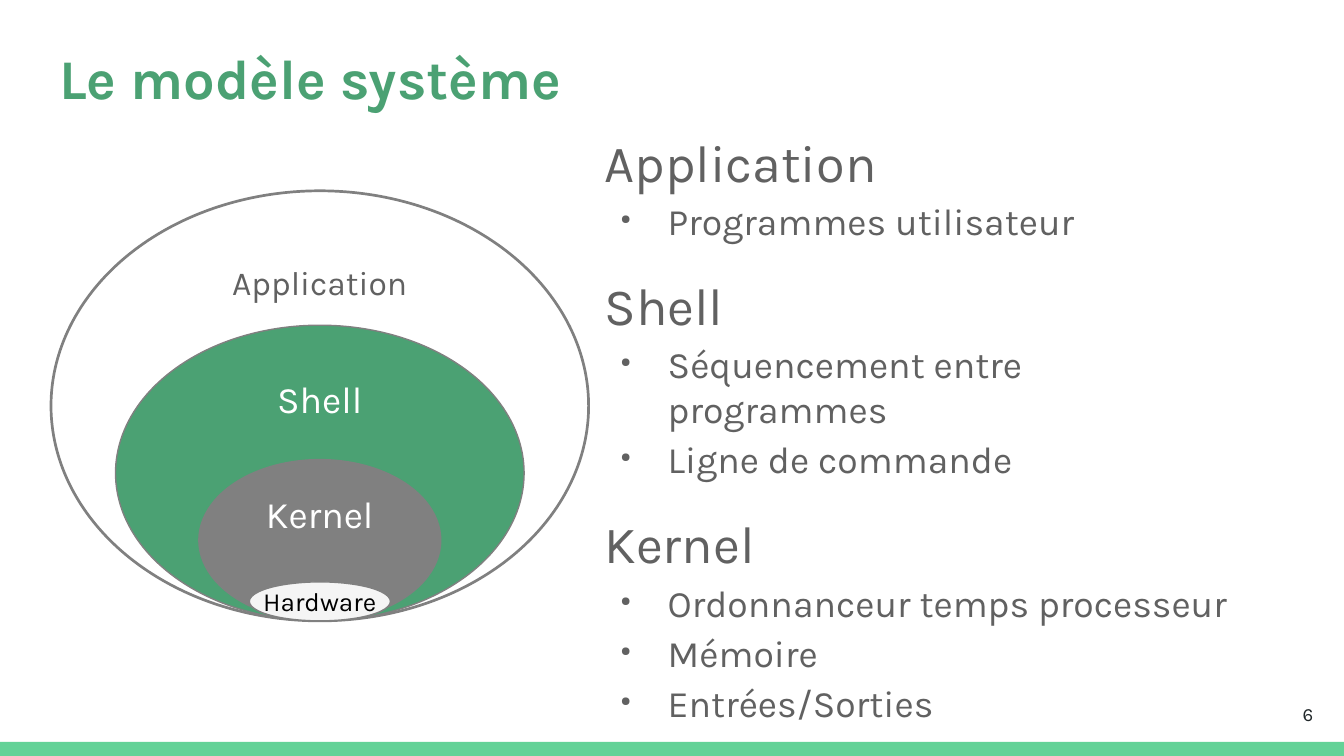
from dataclasses import dataclass

from lxml import etree
from pptx import Presentation
from pptx.dml.color import RGBColor
from pptx.enum.shapes import MSO_SHAPE
from pptx.enum.text import MSO_ANCHOR, PP_ALIGN
from pptx.oxml.ns import qn
from pptx.util import Inches, Pt

OVAL, RECTANGLE = MSO_SHAPE.OVAL, MSO_SHAPE.RECTANGLE
TOP, MIDDLE = MSO_ANCHOR.TOP, MSO_ANCHOR.MIDDLE
LEFT, CENTER, RIGHT = PP_ALIGN.LEFT, PP_ALIGN.CENTER, PP_ALIGN.RIGHT
TITLE_ONLY = 5


@dataclass(frozen=True)
class Theme:
    font: str = "Karla"
    green: str = "4BA173"
    band: str = "63D297"
    gray: str = "808080"
    text: str = "616161"
    number: str = "202729"
    pale: str = "F5F5F5"
    white: str = "FFFFFF"
    black: str = "000000"
    title_size: int = 30
    heading_size: int = 28
    item_size: int = 20
    label_size: int = 18
    small_size: int = 14
    number_size: int = 10


THEME = Theme()

# name, width, height, fill, text colour, text size, anchor, line width
LAYERS = [
    ("Application", 4, 3.2, None, THEME.text, THEME.label_size, TOP, 1.45),
    ("Shell", 3.04, 2.2, THEME.green, THEME.white, THEME.item_size, TOP, 0),
    ("Kernel", 1.8, 1.2, THEME.gray, THEME.white, THEME.item_size, TOP, 0),
    ("Hardware", 1.05, 0.29, THEME.pale, THEME.black, THEME.small_size, MIDDLE, 0),
]

TOPICS = [
    ("Application", ["Programmes utilisateur"]),
    ("Shell", ["Séquencement entre programmes", "Ligne de commande"]),
    ("Kernel", ["Ordonnanceur temps processeur", "Mémoire", "Entrées/Sorties"]),
]


def rgb(color):
    return RGBColor.from_string(color)


def set_frame(frame, anchor=TOP, wrap=True, inset_x=0.1, inset_y=0.1):
    frame.word_wrap = wrap
    frame.vertical_anchor = anchor
    frame.margin_left = frame.margin_right = Inches(inset_x)
    frame.margin_top = frame.margin_bottom = Inches(inset_y)


def add_span(para, text, size, color, bold=False):
    span = para.add_run()
    span.text = text
    span.font.name = THEME.font
    span.font.size = Pt(size)
    span.font.bold = bold
    span.font.color.rgb = rgb(color)


def add_bullet(para):
    props = para._p.get_or_add_pPr()
    props.set("marL", str(Inches(0.47)))
    props.set("indent", str(Inches(-0.35)))
    color = etree.SubElement(props, qn("a:buClr"))
    etree.SubElement(color, qn("a:srgbClr"), val=THEME.text)
    etree.SubElement(props, qn("a:buSzPct"), val="35000")
    etree.SubElement(props, qn("a:buChar"), char="●")


def add_filled_shape(page, kind, box, fill):
    shape = page.shapes.add_shape(kind, *map(Inches, box))
    shape.shadow.inherit = False
    if fill:
        shape.fill.solid()
        shape.fill.fore_color.rgb = rgb(fill)
    else:
        shape.fill.background()
    return shape


def add_band(page, box):
    add_filled_shape(page, RECTANGLE, box, THEME.band).line.fill.background()


def place_title(page, box, text):
    title = page.shapes.title
    title.left, title.top, title.width, title.height = map(Inches, box)
    set_frame(title.text_frame)
    para = title.text_frame.paragraphs[0]
    para.alignment = LEFT
    para.line_spacing = 1.15
    para.space_before = Pt(0)
    para.space_after = Pt(12)
    add_span(para, text, THEME.title_size, THEME.green, bold=True)


def add_page_number(page, box, number):
    frame = page.shapes.add_textbox(*map(Inches, box)).text_frame
    set_frame(frame, MIDDLE)
    para = frame.paragraphs[0]
    para.alignment = RIGHT
    add_span(para, number, THEME.number_size, THEME.number)


def add_layers(page, box):
    """Nest the ellipses so that all touch the bottom centre of the box."""
    left, top, box_width, box_height = box
    for name, width, height, fill, color, size, anchor, line in LAYERS:
        place = (left + (box_width - width) / 2, top + box_height - height, width, height)
        oval = add_filled_shape(page, OVAL, place, fill)
        oval.line.color.rgb = rgb(THEME.gray)
        oval.line.width = Pt(line)
        set_frame(oval.text_frame, anchor, wrap=False, inset_y=0.06)
        para = oval.text_frame.paragraphs[0]
        para.alignment = CENTER
        add_span(para, name, size, color)


def add_topics(page, box):
    frame = page.shapes.add_textbox(*map(Inches, box)).text_frame
    set_frame(frame)
    for index, (heading, items) in enumerate(TOPICS):
        para = frame.add_paragraph() if index else frame.paragraphs[0]
        para.line_spacing = 1.15
        para.space_before = Pt(11.3 if index else 0)
        add_span(para, heading, THEME.heading_size, THEME.text)
        for item in items:
            para = frame.add_paragraph()
            para.space_before = Pt(2.8)
            add_bullet(para)
            add_span(para, item, THEME.item_size, THEME.text)


def build_model_slide(deck):
    page = deck.slides.add_slide(deck.slide_layouts[TITLE_ONLY])
    add_band(page, (0, 5.52, 10, 0.11))
    place_title(page, (0.34, 0.15, 9.32, 0.63), "Le modèle système")
    add_page_number(page, (9.27, 5.1, 0.6, 0.43), "6")
    add_layers(page, (0.38, 1.42, 4, 3.2))
    add_topics(page, (4.4, 0.8, 4.97, 5.03))


def main():
    deck = Presentation()
    deck.slide_width = Inches(10)
    deck.slide_height = deck.slide_width * 9 // 16
    build_model_slide(deck)
    deck.save("out.pptx")


if __name__ == "__main__":
    main()
